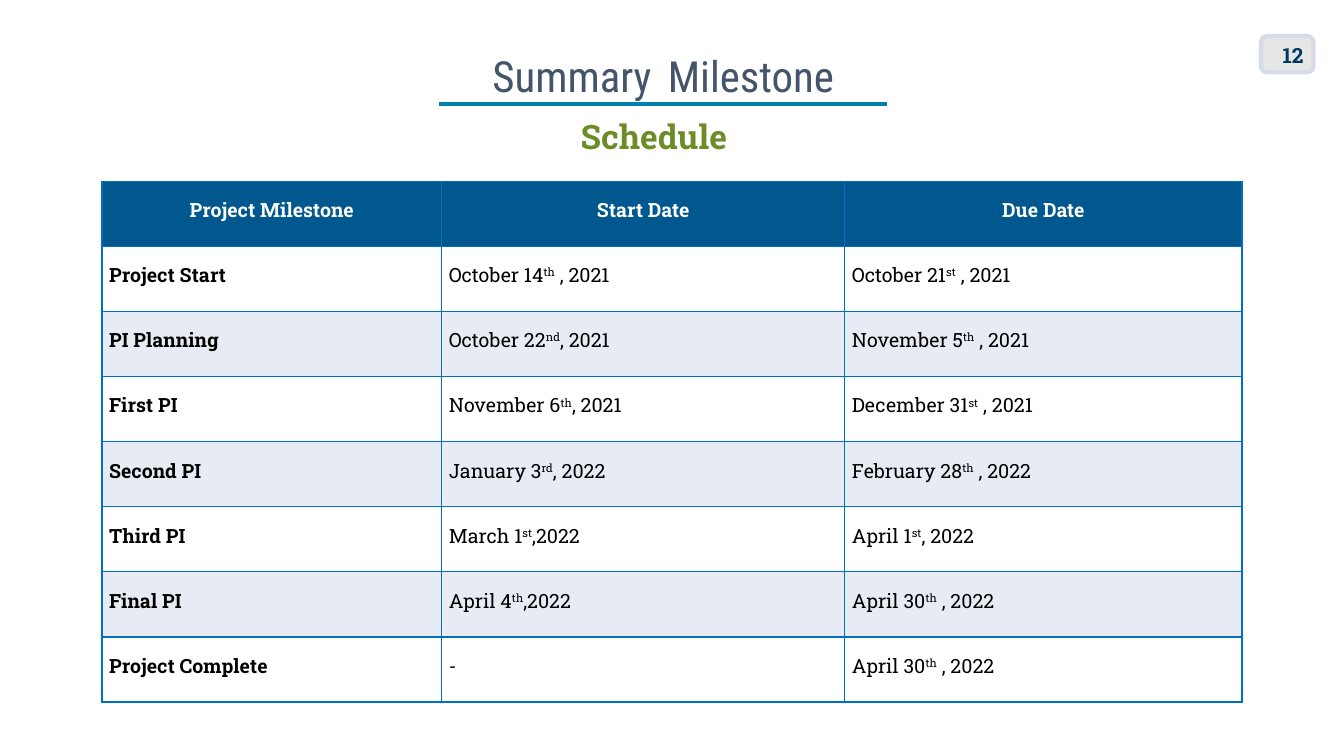
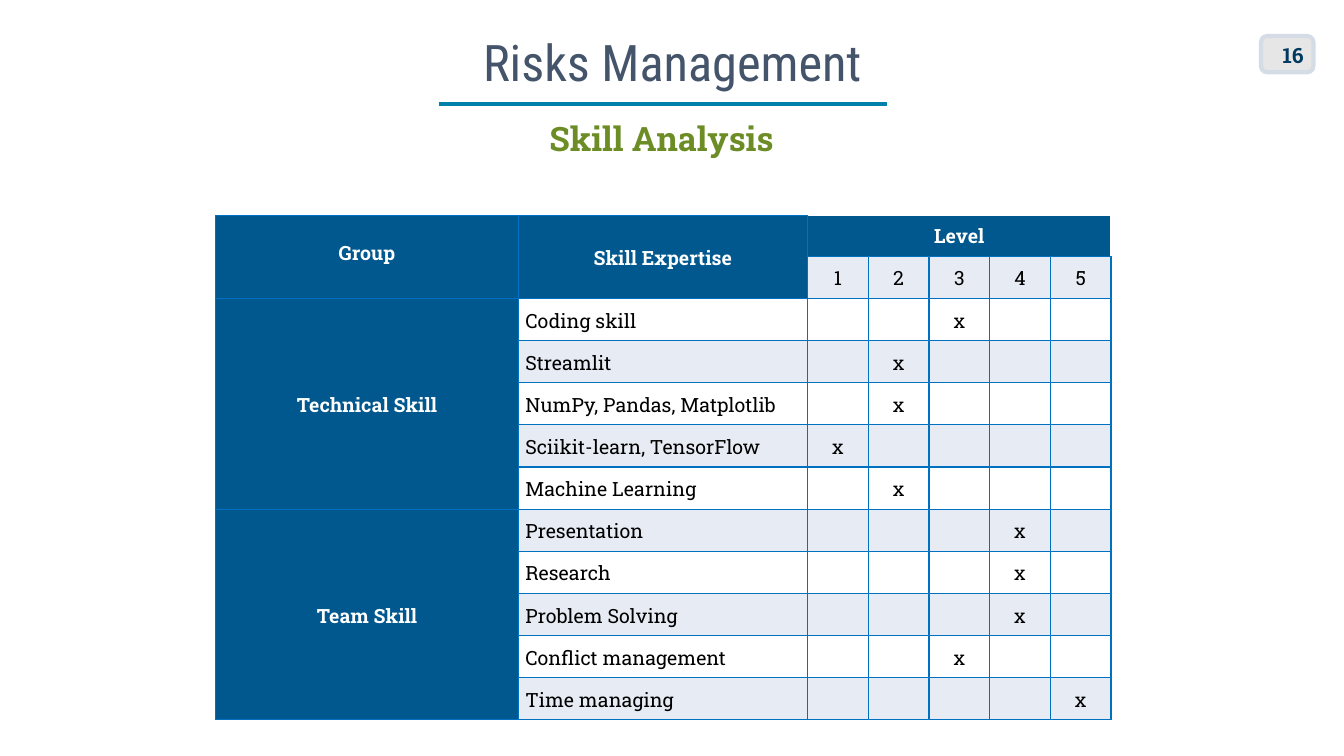
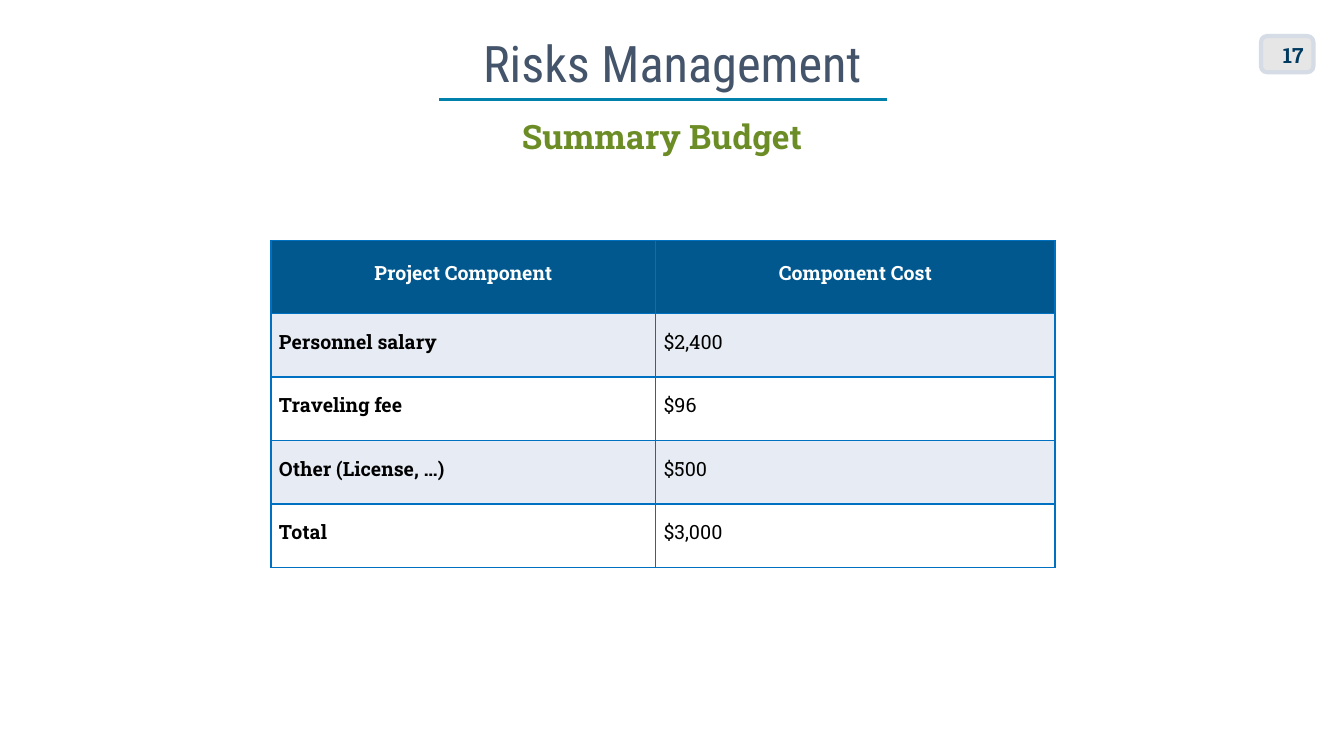
"""Build three project slides: milestone schedule, skill analysis and summary budget."""
from dataclasses import dataclass

from lxml.etree import SubElement
from pptx import Presentation
from pptx.dml.color import RGBColor
from pptx.enum.shapes import MSO_CONNECTOR, MSO_SHAPE
from pptx.enum.text import MSO_ANCHOR, MSO_AUTO_SIZE, PP_ALIGN
from pptx.oxml.ns import qn
from pptx.util import Cm, Pt


@dataclass(frozen=True)
class Theme:
    title: str = "44546A"
    subtitle: str = "6C8D26"
    rule: str = "0081AB"
    head: str = "01588E"
    tint: str = "E7ECF4"
    white: str = "FFFFFF"
    black: str = "000000"
    border: str = "0070C0"
    badge: str = "E7E6E6"
    badge_line: str = "D6DCE5"
    number: str = "003A5F"
    title_font: str = "Roboto Condensed"
    text_font: str = "Roboto Slab"
    gap_font: str = "Calibri"
    title_size: float = 36
    small_title_size: float = 30.6
    gap_size: float = 51
    subtitle_size: float = 24
    number_size: float = 15
    cell_size: float = 14


theme = Theme()


def write(tf, text, size, color, font=theme.text_font, bold=False, align=PP_ALIGN.LEFT,
          line=None, before=0, after=0):
    """Append text to the first paragraph; parts between carets are superscript."""
    p = tf.paragraphs[0]
    p.alignment = align
    p.line_spacing = line
    p.space_before, p.space_after = Pt(before), Pt(after)
    for i, part in enumerate(text.split("^")):
        r = p.add_run()
        r.text = part
        r.font.size, r.font.name, r.font.bold = Pt(size), font, bold
        r.font.color.rgb = RGBColor.from_string(color)
        if i % 2:
            r._r.get_or_add_rPr().set("baseline", "30000")
    return p


def paint(cell, fill, borders):
    """Draw the cell's left, right, top and bottom borders, then fill it."""
    tcPr = cell._tc.get_or_add_tcPr()
    for side, color in zip("LRTB", borders):
        ln = SubElement(tcPr, qn(f"a:ln{side}"), w=str(Pt(1)))
        SubElement(SubElement(ln, qn("a:solidFill")), qn("a:srgbClr"), val=color)
    cell.fill.solid()
    cell.fill.fore_color.rgb = RGBColor.from_string(fill)


milestones = [
    ["Project Milestone", "Start Date", "Due Date"],
    ["Project Start", "October 14^th^ , 2021", "October 21^st^ , 2021"],
    ["PI Planning", "October 22^nd^, 2021", "November 5^th^ , 2021"],
    ["First PI", "November 6^th^, 2021", "December 31^st^ , 2021"],
    ["Second PI", "January 3^rd^, 2022", "February 28^th^ , 2022"],
    ["Third PI", "March 1^st^,2022", "April 1^st^, 2022"],
    ["Final PI", "April 4^th^,2022", "April 30^th^ , 2022"],
    ["Project Complete", "-", "April 30^th^ , 2022"],
]
levels = range(1, 6)
skills = [
    ("Technical Skill", "Coding skill", 3),
    ("", "Streamlit", 2),
    ("", "NumPy, Pandas, Matplotlib", 2),
    ("", "Sciikit-learn, TensorFlow", 1),
    ("", "Machine Learning", 2),
    ("Team Skill", "Presentation", 4),
    ("", "Research", 4),
    ("", "Problem Solving", 4),
    ("", "Conflict management", 3),
    ("", "Time managing", 5),
]
skill_rows = [["Group", "Skill Expertise", "Level", "", "", "", ""], ["", "", *map(str, levels)]]
skill_rows += [[group, skill, *("x" if n == level else "" for n in levels)]
               for group, skill, level in skills]
budget = [
    ["Project Component", "Component Cost"],
    ["Personnel salary", "$2,400"],
    ["Traveling fee", "$96"],
    ["Other (License, …)", "$500"],
    ["Total", "$3,000"],
]

title_style = dict(size=theme.title_size, color=theme.title, font=theme.title_font)
small_title = {**title_style, "size": theme.small_title_size}
title_gap = dict(size=theme.gap_size, color=theme.black, font=theme.gap_font)
risks = [("Risks Management", title_style)]

slides = [
    dict(number="12", title_at=(8.18, 0.84, 17.07), title_line=0.7, rule_y=2.62,
         title=[("Summary", small_title), (" ", title_gap), ("Milestone", small_title)],
         subtitle="Schedule", subtitle_at=(14.38, 2.9),
         rows=milestones, at=(2.57, 4.57), widths=[8.56, 10.16, 10.01], heights=[1.64] * 8,
         merges=[], tinted=0, inset=0.18),
    dict(number="16", title_at=(2.34, 0.53, 29.21), title_line=0.9, rule_y=2.62, title=risks,
         subtitle="Skill Analysis", subtitle_at=(13.59, 2.95),
         rows=skill_rows, at=(5.44, 5.44), widths=[7.62, 7.29] + [1.53] * 5,
         heights=[0.99] + [1.05] * 11,
         merges=[(0, 0, 1, 0), (0, 1, 1, 1), (0, 2, 0, 6), (2, 0, 6, 0), (7, 0, 11, 0)],
         tinted=1, inset=0.18),
    dict(number="17", title_at=(2.34, 0.56, 29.21), title_line=0.9, rule_y=2.51, title=risks,
         subtitle="Summary Budget", subtitle_at=(12.9, 2.9),
         rows=budget, at=(6.83, 6.07), widths=[9.7, 10.06], heights=[1.83] + [1.6] * 4,
         merges=[], tinted=1, inset=0.2),
]

prs = Presentation()
prs.slide_width, prs.slide_height = Cm(33.87), Cm(19.05)

for d in slides:
    s = prs.slides.add_slide(prs.slide_layouts[1])
    title, subtitle = s.placeholders

    x, y, w = d["title_at"]
    title.left, title.top, title.width, title.height = Cm(x), Cm(y), Cm(w), Cm(1.93)
    tf = title.text_frame
    tf.auto_size, tf.vertical_anchor = MSO_AUTO_SIZE.NONE, MSO_ANCHOR.BOTTOM
    for text, style in d["title"]:
        write(tf, text, align=PP_ALIGN.CENTER, line=d["title_line"], **style)

    x, y = d["subtitle_at"]
    subtitle.left, subtitle.top, subtitle.width, subtitle.height = Cm(x), Cm(y), Cm(16.94), Cm(1.17)
    tf = subtitle.text_frame
    tf.auto_size, tf.vertical_anchor = MSO_AUTO_SIZE.NONE, MSO_ANCHOR.TOP
    p = write(tf, d["subtitle"], theme.subtitle_size, theme.subtitle, bold=True, line=0.9, before=10)
    pPr = p._p.get_or_add_pPr()
    pPr.set("marL", "0")
    pPr.set("indent", "0")
    SubElement(pPr, qn("a:buNone"))

    rows, widths, heights = d["rows"], d["widths"], d["heights"]
    table = s.shapes.add_table(len(rows), len(widths), *map(Cm, d["at"]),
                               Cm(sum(widths)), Cm(sum(heights))).table
    table.first_row = table.horz_banding = False
    for column, width in zip(table.columns, widths):
        column.width = Cm(width)
    for row, height in zip(table.rows, heights):
        row.height = Cm(height)
    for top, left, bottom, right in d["merges"]:
        table.cell(top, left).merge(table.cell(bottom, right))
    grid = bool(d["merges"])
    for i, row in enumerate(rows):
        for j, text in enumerate(row):
            cell = table.cell(i, j)
            dark = i == 0 or cell.is_merge_origin or cell.is_spanned
            level_head = grid and i == 0 and j > 1
            edge = theme.white if level_head else theme.border
            fill = theme.head if dark else theme.tint if i % 2 == d["tinted"] else theme.white
            paint(cell, fill, (theme.border, edge, edge, theme.border))
            if not text:
                continue
            cell.margin_left = cell.margin_right = Cm(d["inset"])
            cell.margin_top = cell.margin_bottom = Cm(d["inset"])
            cell.vertical_anchor = MSO_ANCHOR.MIDDLE
            exact = not grid or i == j == 0
            write(cell.text_frame, text, theme.cell_size, theme.white if dark else theme.black,
                  bold=dark or j == 0,
                  align=PP_ALIGN.CENTER if dark or (grid and j > 1) else PP_ALIGN.LEFT,
                  line=Pt(13) if exact else 1.0 if level_head else 1.07, after=8 if exact else 0)

    rule = s.shapes.add_connector(MSO_CONNECTOR.STRAIGHT, Cm(11.07), Cm(d["rule_y"]),
                                  Cm(22.35), Cm(d["rule_y"]))
    rule.line.color.rgb, rule.line.width = RGBColor.from_string(theme.rule), Pt(2.25)
    SubElement(rule._element.spPr, qn("a:effectLst"))

    badge = s.shapes.add_shape(MSO_SHAPE.ROUNDED_RECTANGLE, Cm(31.78), Cm(0.91), Cm(1.32), Cm(0.91))
    badge.shadow.inherit = False
    badge.fill.solid()
    badge.fill.fore_color.rgb = RGBColor.from_string(theme.badge)
    badge.line.color.rgb, badge.line.width = RGBColor.from_string(theme.badge_line), Pt(3)

    tf = s.shapes.add_textbox(Cm(31.55), Cm(0.94), Cm(1.55), Cm(0.91)).text_frame
    tf.word_wrap, tf.vertical_anchor = True, MSO_ANCHOR.MIDDLE
    write(tf, d["number"], theme.number_size, theme.number, bold=True, align=PP_ALIGN.RIGHT)

prs.save("out.pptx")
